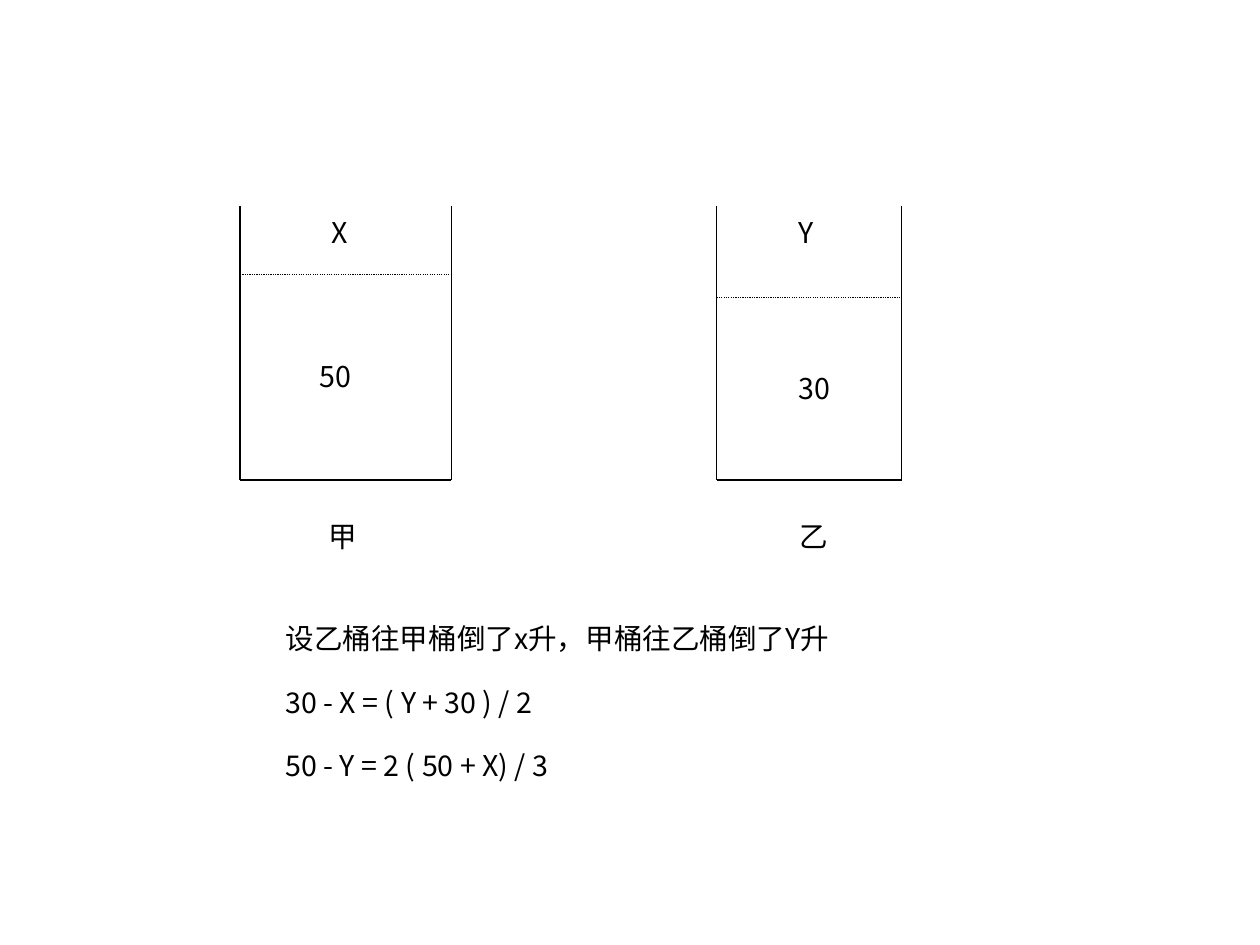
from dataclasses import dataclass

from lxml import etree
from pptx import Presentation
from pptx import util as u
from pptx.dml.color import RGBColor
from pptx.enum import dml
from pptx.oxml import ns
from pptx.slide import Slide

FONT = "Noto Sans CJK SC"
BLACK = "000000"
CM_PER_INCH = 2.54
PAGE_WIDTH, PAGE_HEIGHT = 28 / CM_PER_INCH, 21 / CM_PER_INCH
RIM, BASE = 1.8, 4.2
LABEL_HEIGHT = 0.38


@dataclass
class Label:
    lines: list[str]
    left: float
    top: float
    width: float
    height: float = LABEL_HEIGHT


@dataclass
class Bucket:
    left: float
    right: float
    level: float
    labels: list[Label]


BUCKETS = [
    Bucket(2.1, 3.95, 2.4, [
        Label(["X"], 2.8, 1.84, 0.36),
        Label(["50"], 2.7, 3.1, 0.5),
        Label(["甲"], 2.78, 4.5, 0.46),
    ]),
    Bucket(6.27, 7.89, 2.6, [
        Label(["Y"], 6.89, 1.84, 0.36),
        Label(["30"], 6.89, 3.2, 0.5),
        Label(["乙"], 6.9, 4.5, 0.46),
    ]),
]
EQUATIONS = Label([
    "设乙桶往甲桶倒了x升，甲桶往乙桶倒了Y升",
    "30 - X = ( Y + 30 ) / 2",
    "50 - Y = 2 ( 50 + X) / 3",
], 2.4, 5.39, 5.25, 1.5)


def color(value: str) -> RGBColor:
    return RGBColor.from_string(value)


def add_line(page: Slide, x1: float, y1: float, x2: float, y2: float,
             dotted: bool = False) -> None:
    line = page.shapes.add_connector(
        1, u.Inches(x1), u.Inches(y1), u.Inches(x2), u.Inches(y2))
    line.line.color.rgb = color(BLACK)
    line.line.width = u.Pt(0.75)
    if dotted:
        line.line.dash_style = dml.MSO_LINE.ROUND_DOT
    etree.SubElement(line._element.spPr, ns.qn("a:effectLst"))


def add_label(page: Slide, label: Label) -> None:
    box = page.shapes.add_textbox(
        u.Inches(label.left), u.Inches(label.top),
        u.Inches(label.width), u.Inches(label.height))
    frame = box.text_frame
    frame.word_wrap = False
    frame.margin_left = frame.margin_right = u.Inches(0.1)
    frame.margin_top, frame.margin_bottom = u.Inches(0.07), u.Inches(0.05)
    frame.text = "\n".join(label.lines)
    for index, para in enumerate(frame.paragraphs):
        para.line_spacing = 0.93
        para.space_before = u.Pt(20 if index else 0)
        for span in para.runs:
            span.font.size = u.Pt(18)
            span.font.name = FONT
            span.font.color.rgb = color(BLACK)
            east_asian = etree.SubElement(span.font._element, ns.qn("a:ea"))
            east_asian.set("typeface", FONT)


def add_bucket(page: Slide, bucket: Bucket) -> None:
    for side in (bucket.left, bucket.right):
        add_line(page, side, RIM, side, BASE)
    add_line(page, bucket.left, BASE, bucket.right, BASE)
    add_line(page, bucket.left, bucket.level, bucket.right, bucket.level, dotted=True)
    for label in bucket.labels:
        add_label(page, label)


def main() -> None:
    deck = Presentation()
    deck.slide_width, deck.slide_height = u.Inches(PAGE_WIDTH), u.Inches(PAGE_HEIGHT)
    page = deck.slides.add_slide(deck.slide_layouts[6])
    for bucket in BUCKETS:
        add_bucket(page, bucket)
    add_label(page, EQUATIONS)
    deck.save("out.pptx")


if __name__ == "__main__":
    main()
